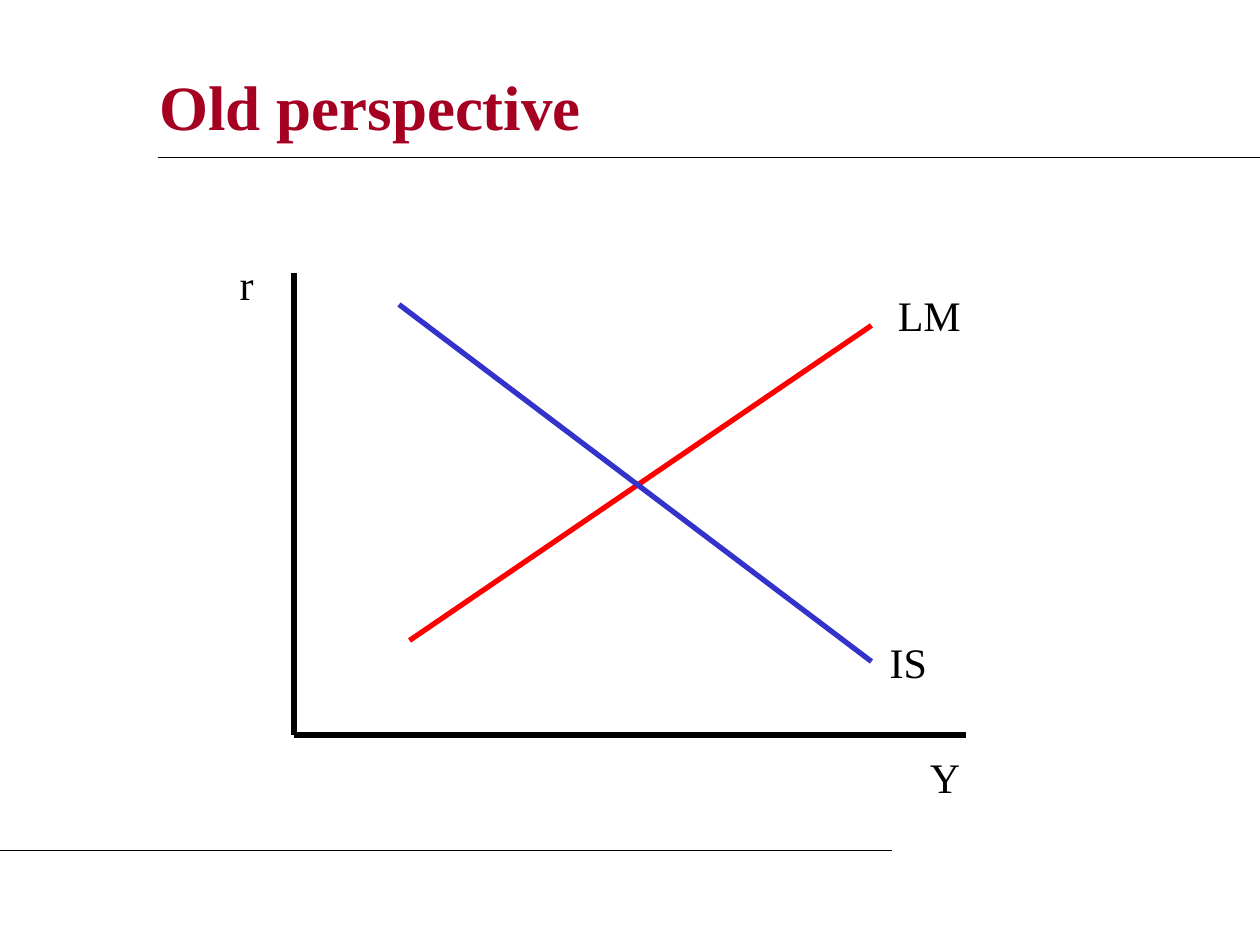
from pptx import Presentation
from pptx.dml.color import RGBColor
from pptx.enum.shapes import MSO_CONNECTOR
from pptx.enum.text import MSO_ANCHOR, PP_ALIGN
from pptx.oxml.ns import qn
from pptx.util import Pt

BLACK = RGBColor(0x00, 0x00, 0x00)
CRIMSON = RGBColor(0xA5, 0x00, 0x21)
RED = RGBColor(0xFF, 0x00, 0x00)
BLUE = RGBColor(0x33, 0x33, 0xCC)

FONT = "Times New Roman"
TITLE_ONLY = 5


def write_text(frame, text, *, size, color=BLACK, bold=False,
               align=PP_ALIGN.LEFT, anchor=MSO_ANCHOR.TOP):
    frame.word_wrap = True
    frame.vertical_anchor = anchor
    paragraph = frame.paragraphs[0]
    paragraph.text = text
    paragraph.alignment = align
    font = paragraph.font
    font.name, font.size, font.bold = FONT, Pt(size), bold
    font.color.rgb = color


class DiagramSlide:
    """Holds the text sizes, line weights and current slide; lengths are points."""

    title_size = 36
    label_size = 24
    rule_width = 0.75
    curve_width = 3

    def __init__(self, slide):
        self.slide = slide

    def title(self, text, left, top, width, height):
        title = self.slide.shapes.title
        title.left, title.top = Pt(left), Pt(top)
        title.width, title.height = Pt(width), Pt(height)
        write_text(title.text_frame, text, size=self.title_size, color=CRIMSON,
                   bold=True, anchor=MSO_ANCHOR.MIDDLE)

    def line(self, start, end, color=BLACK, width=curve_width):
        line = self.slide.shapes.add_connector(
            MSO_CONNECTOR.STRAIGHT, *map(Pt, (*start, *end)))
        line.line.color.rgb = color
        line.line.width = Pt(width)
        properties = line._element.spPr
        properties.append(properties.makeelement(qn("a:effectLst"), {}))

    def rule(self, start, end):
        self.line(start, end, width=self.rule_width)

    def label(self, text, left, top, width, height=36):
        box = self.slide.shapes.add_textbox(*map(Pt, (left, top, width, height)))
        write_text(box.text_frame, text, size=self.label_size,
                   align=PP_ALIGN.CENTER)


def main():
    presentation = Presentation()
    presentation.slide_width, presentation.slide_height = Pt(720), Pt(540)
    layout = presentation.slide_layouts[TITLE_ONLY]
    diagram = DiagramSlide(presentation.slides.add_slide(layout))

    diagram.title("Old perspective", 84, 30, 582, 60)
    diagram.rule((90, 90), (720, 90))
    diagram.rule((0, 486), (510, 486))

    origin = (168, 420)
    diagram.line((168, 156), origin)
    diagram.line((552, 420), origin)
    diagram.label("r", 126, 144, 30)
    diagram.label("Y", 510, 426, 60)

    diagram.line((234, 366), (498, 186), RED)
    diagram.label("LM", 504, 162, 54)
    diagram.line((228, 174), (498, 378), BLUE)
    diagram.label("IS", 492, 360, 54)

    presentation.save("out.pptx")


if __name__ == "__main__":
    main()
